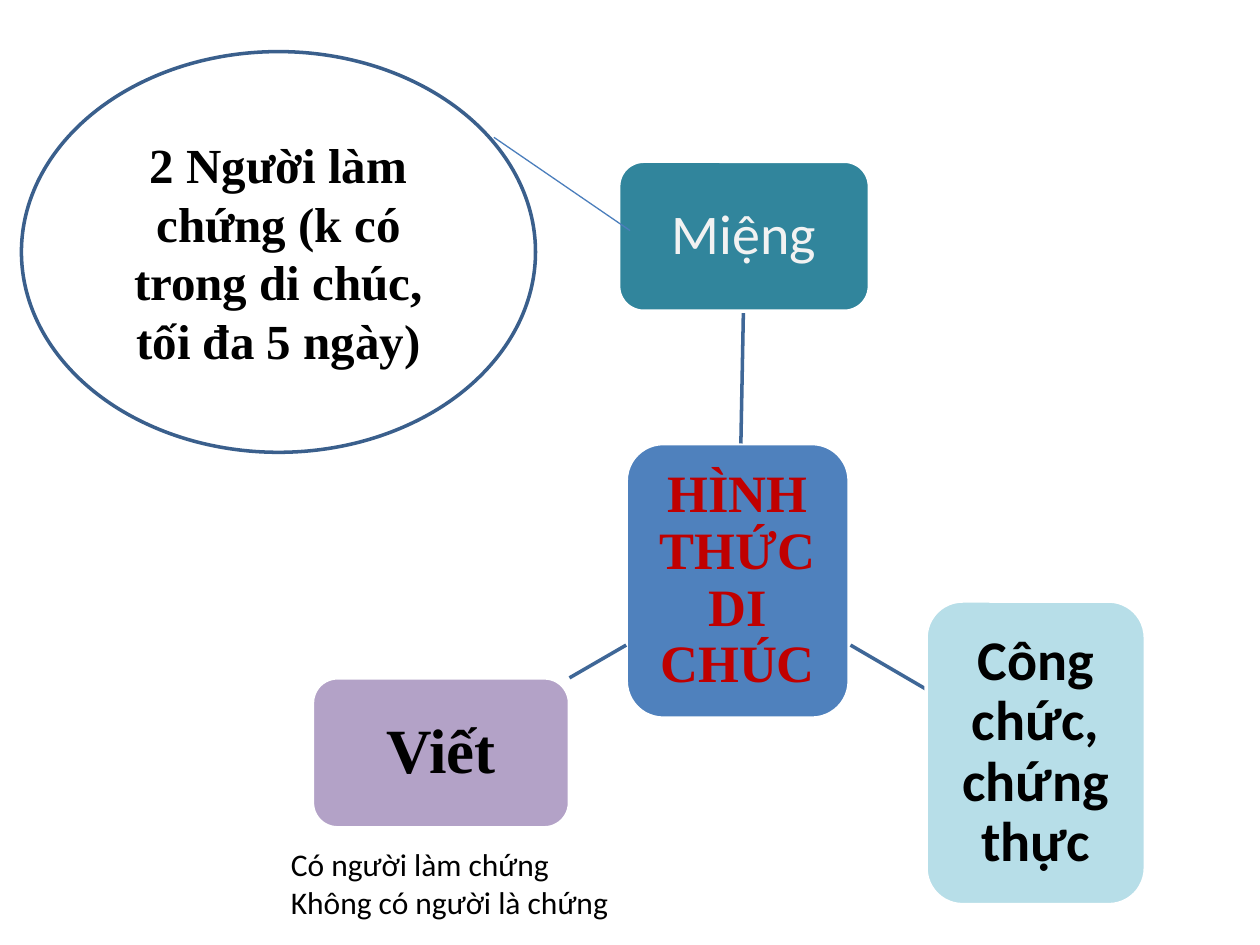
from dataclasses import dataclass
from typing import Any

from lxml.etree import SubElement
from pptx import Presentation
from pptx.dml.color import RGBColor
from pptx.enum.shapes import MSO_CONNECTOR as Connector, MSO_SHAPE as Shape
from pptx.enum.text import MSO_ANCHOR as Anchor, PP_ALIGN as Align
from pptx.oxml.ns import qn
from pptx.util import Inches, Pt

WHITE = RGBColor(0xFF, 0xFF, 0xFF)
BLACK = RGBColor(0x00, 0x00, 0x00)
RED = RGBColor(0xC0, 0x00, 0x00)
PALE_GRAY = RGBColor(0xF2, 0xF2, 0xF2)
BLUE = RGBColor(0x4F, 0x81, 0xBD)
TEAL = RGBColor(0x31, 0x85, 0x9C)
PALE_TEAL = RGBColor(0xB7, 0xDE, 0xE8)
PURPLE = RGBColor(0xB3, 0xA2, 0xC7)
BRANCH_BLUE = RGBColor(0x3F, 0x67, 0x97)
OUTLINE_BLUE = RGBColor(0x3A, 0x5F, 0x8C)
CALLOUT_BLUE = RGBColor(0x4B, 0x7E, 0xBC)
SANS = "Calibri"
SERIF = "Times New Roman"


@dataclass
class MindMap:
    """Draw the elements of a mind map on one slide in a shared style."""

    slide: Any
    outline_width: float = 2
    node_spacing: float = 0.9

    def add_text(self, paragraph, text, size, font, color, bold=False):
        run = paragraph.add_run()
        run.text = text
        run.font.size = Pt(size)
        run.font.name = font
        run.font.bold = bold
        run.font.color.rgb = color

    def bubble(self, kind, box, fill, outline, text, size, font, color, bold=True):
        shape = self.slide.shapes.add_shape(kind, *map(Inches, box))
        shape.shadow.inherit = False
        shape.fill.solid()
        shape.fill.fore_color.rgb = fill
        shape.line.color.rgb = outline
        shape.line.width = Pt(self.outline_width)
        frame = shape.text_frame
        frame.word_wrap = True
        frame.vertical_anchor = Anchor.MIDDLE
        paragraph = frame.paragraphs[0]
        paragraph.alignment = Align.CENTER
        self.add_text(paragraph, text, size, font, color, bold)
        return shape

    def node(self, box, fill, text, size, font, color, inset, bold=True):
        shape = self.bubble(Shape.ROUNDED_RECTANGLE, box, fill, WHITE,
                            text, size, font, color, bold)
        frame = shape.text_frame
        frame.margin_left = frame.margin_right = Inches(inset)
        frame.margin_top = frame.margin_bottom = Inches(inset)
        frame.paragraphs[0].line_spacing = self.node_spacing

    def link(self, start, end, color, width):
        connector = self.slide.shapes.add_connector(
            Connector.STRAIGHT, *map(Inches, start + end))
        connector.line.color.rgb = color
        connector.line.width = Pt(width)
        SubElement(connector._element.spPr, qn("a:effectLst"))

    def branch(self, start, end):
        self.link(start, end, BRANCH_BLUE, self.outline_width)

    def note(self, box, lines, size):
        frame = self.slide.shapes.add_textbox(*map(Inches, box)).text_frame
        frame.word_wrap = True
        for index, line in enumerate(lines):
            paragraph = frame.add_paragraph() if index else frame.paragraphs[0]
            self.add_text(paragraph, line, size, SANS, BLACK)


def main():
    presentation = Presentation()
    presentation.slide_width = Inches(10)
    presentation.slide_height = Inches(7.5)
    mind_map = MindMap(presentation.slides.add_slide(presentation.slide_layouts[6]))

    mind_map.node((4.97, 3.52, 1.77, 2.18), BLUE, "HÌNH THỨC DI CHÚC",
                  30, SERIF, RED, 0.08)
    mind_map.branch((5.88, 3.52), (5.9, 2.47))
    mind_map.node((4.91, 1.28, 1.99, 1.19), TEAL, "Miệng",
                  32, SANS, PALE_GRAY, 0.09, bold=False)
    mind_map.branch((6.75, 5.12), (7.35, 5.47))
    mind_map.node((7.35, 4.77, 1.74, 2.41), PALE_TEAL, "Công chức, chứng thực",
                  32, SANS, BLACK, 0.09)
    mind_map.branch((4.97, 5.12), (4.52, 5.38))
    mind_map.node((2.48, 5.38, 2.04, 1.19), PURPLE, "Viết",
                  36, SERIF, BLACK, 0.1)

    mind_map.bubble(Shape.OVAL, (0.17, 0.41, 4.08, 3.18), WHITE, OUTLINE_BLUE,
                    "2 Người làm chứng (k có trong di chúc, tối đa 5 ngày)",
                    28, SERIF, BLACK)
    mind_map.link((5, 1.83), (3.92, 1.09), CALLOUT_BLUE, 0.75)
    mind_map.note((2.21, 6.66, 2.75, 0.71),
                  ("Có người làm chứng", "Không có người là chứng"), 18)

    presentation.save("out.pptx")


if __name__ == "__main__":
    main()
